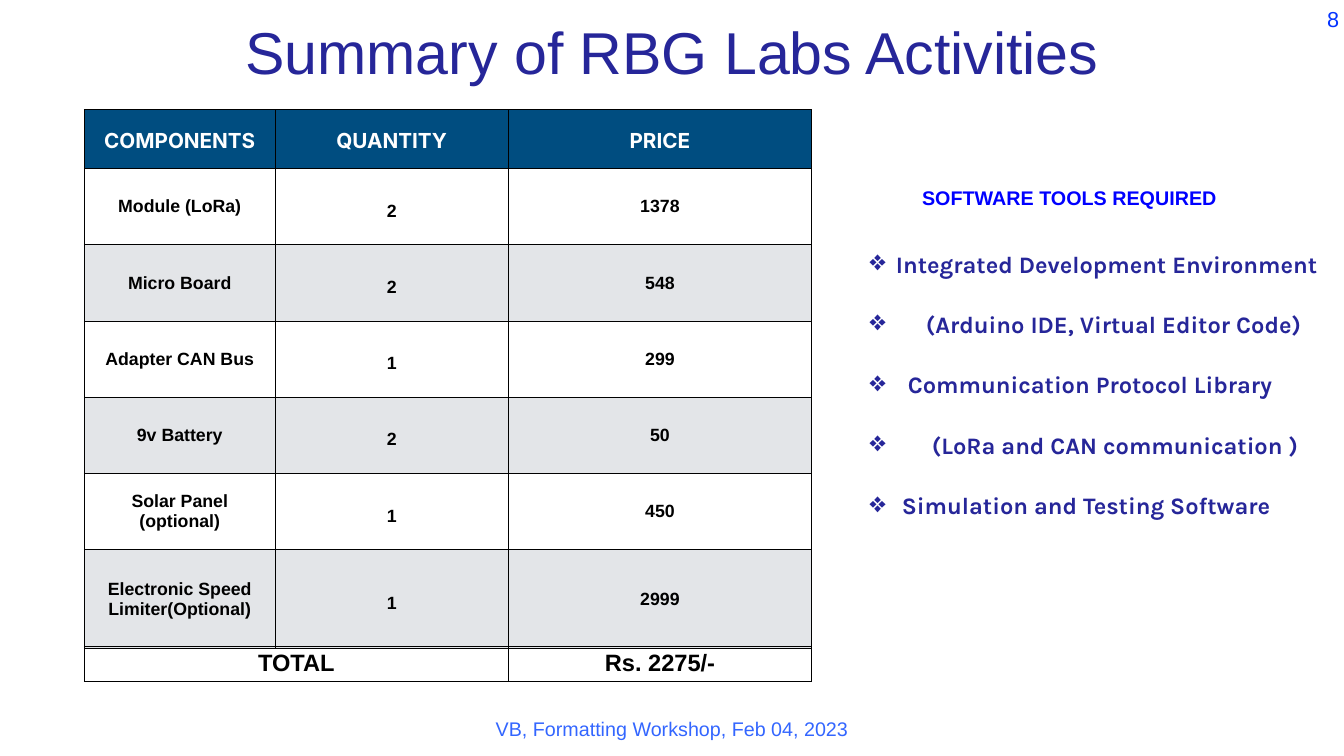
from lxml import etree
from pptx import Presentation
from pptx.dml.color import RGBColor
from pptx.enum.text import MSO_ANCHOR, PP_ALIGN
from pptx.oxml.ns import qn
from pptx.util import Inches, Pt

LEFT, CENTER, RIGHT = PP_ALIGN.LEFT, PP_ALIGN.CENTER, PP_ALIGN.RIGHT
TOP, MIDDLE = MSO_ANCHOR.TOP, MSO_ANCHOR.MIDDLE
MARGINS = ("margin_left", "margin_top", "margin_right", "margin_bottom")
INDIGO, BLACK, WHITE = "262699", "000000", "FFFFFF"
HEADER_FILL, BAND_FILL = "004D80", "E3E5E8"
HEADER_FONT = {"size": Pt(21), "name": "Inter", "bold": True}
BODY_FONT = {"size": Pt(18), "name": "Arial", "bold": True}
TOTAL_FONT = {"size": Pt(24), "name": "Arial", "bold": True}
LIST_FONT = {"size": Pt(24), "name": "Karla", "bold": True}

deck = Presentation()
deck.slide_width, deck.slide_height = Inches(18.96), Inches(10.67)
page = deck.slides.add_slide(deck.slide_layouts[6])
across, down = deck.slide_width / 100, deck.slide_height / 100  # one percent


def write(para, text, font, colour, align):
    para.text = text
    para.alignment = align
    for name, value in font.items():
        setattr(para.font, name, value)
    para.font.color.rgb = RGBColor.from_string(colour)


def add_grid(left, top, widths, heights):
    """Add an unstyled table, sized in percent, with thin black cell borders."""
    frame = page.shapes.add_table(
        len(heights), len(widths), int(left * across), int(top * down),
        int(sum(widths) * across), int(sum(heights) * down))
    table = frame.table
    table.first_row = table.horz_banding = False
    for column, width in zip(table.columns, widths):
        column.width = int(width * across)
    for row, height in zip(table.rows, heights):
        row.height = int(height * down)
    for cell in table.iter_cells():
        cell.fill.background()
        properties = cell._tc.get_or_add_tcPr()
        for place, side in enumerate(("lnL", "lnR", "lnT", "lnB")):
            line = etree.Element(qn(f"a:{side}"), w=str(Pt(1)))
            solid = etree.SubElement(line, qn("a:solidFill"))
            etree.SubElement(solid, qn("a:srgbClr"), val=BLACK)
            properties.insert(place, line)
    return table


# Single-line texts: text, place in percent, size, colour, bold, align, anchor
for text, place, size, colour, bold, align, anchor in (
    ("VB, Formatting Workshop, Feb 04, 2023", (10.23, 94.1, 79.54, 4.5),
     20, "3366FF", False, CENTER, TOP),
    ("Summary of RBG Labs Activities", (7.12, 1.22, 85.76, 10.97),
     60, INDIGO, False, CENTER, MIDDLE),
    ("SOFTWARE TOOLS REQUIRED", (67.75, 24.09, 23.63, 4.22),
     20, "0000FF", True, CENTER, MIDDLE),
    ("8", (97.26, 0.09, 2.74, 4.78), 22, "0433FF", False, RIGHT, TOP),
):
    left, top, width, height = place
    box = page.shapes.add_textbox(int(left * across), int(top * down),
                                  int(width * across), int(height * down))
    frame = box.text_frame
    frame.word_wrap, frame.vertical_anchor = True, anchor
    for margin in MARGINS:
        setattr(frame, margin, Inches(0.07))
    write(frame.paragraphs[0], text,
          {"size": Pt(size), "name": "Arial", "bold": bold}, colour, align)

# Components and prices
components = (
    ("COMPONENTS", "QUANTITY", "PRICE"),
    ("Module (LoRa)", "2", "1378"),
    ("Micro Board", "2", "548"),
    ("Adapter CAN Bus", "1", "299"),
    ("9v Battery", "2", "50"),
    ("Solar Panel (optional)", "1", "450"),
    ("Electronic Speed Limiter(Optional)", "1", "2999"),
)
table_left, total_top, total_height = 6.28, 85.47, 4.4
widths = (14.19, 17.35, 22.57)
table = add_grid(table_left, 14.53, widths, [7.78] + [10.08] * 5 + [13.12])
for r, record in enumerate(components):
    for c, text in enumerate(record):
        cell = table.cell(r, c)
        cell.vertical_anchor = MIDDLE
        for margin in MARGINS:
            setattr(cell, margin, Inches(0.21))
        fill = HEADER_FILL if r == 0 else (WHITE if r % 2 else BAND_FILL)
        cell.fill.solid()
        cell.fill.fore_color.rgb = RGBColor.from_string(fill)
        para = cell.text_frame.paragraphs[0]
        if r == 0 or c == 1:
            para.line_spacing = Pt(29.4)
        write(para, text, BODY_FONT if r else HEADER_FONT,
              BLACK if r else WHITE, CENTER)

# Total, as two one-cell tables under the components
name_width = sum(widths[:2])
for text, left, width in (
    ("TOTAL", table_left, name_width),
    ("Rs. 2275/-", table_left + name_width, widths[2]),
):
    total = add_grid(left, total_top, [width], [total_height])
    write(total.cell(0, 0).text_frame.paragraphs[0], text, TOTAL_FONT, BLACK, CENTER)

# Software tools: each step moves the text right of its bullet
tools = (
    ("Integrated Development Environment", 0),
    ("(Arduino IDE, Virtual Editor Code)", 5),
    ("Communication Protocol Library", 2),
    ("(LoRa and CAN communication )", 6),
    ("Simulation and Testing Software", 1),
)
box = page.shapes.add_textbox(int(64.19 * across), int(28.3 * down),
                              int(35.81 * across), int(39.74 * down))
frame = box.text_frame
frame.word_wrap = True
for number, (text, steps) in enumerate(tools):
    para = frame.add_paragraph() if number else frame.paragraphs[0]
    para.line_spacing = Pt(61.4)
    indent = Inches(0.37) + steps * Pt(6.1)
    properties = para._p.get_or_add_pPr()
    properties.set("marL", str(int(indent)))
    properties.set("indent", str(-int(indent)))
    etree.SubElement(properties, qn("a:buSzPct"), val="120000")
    etree.SubElement(properties, qn("a:buChar"), char="❖")
    write(para, text, LIST_FONT, INDIGO, LEFT)

deck.save("out.pptx")
